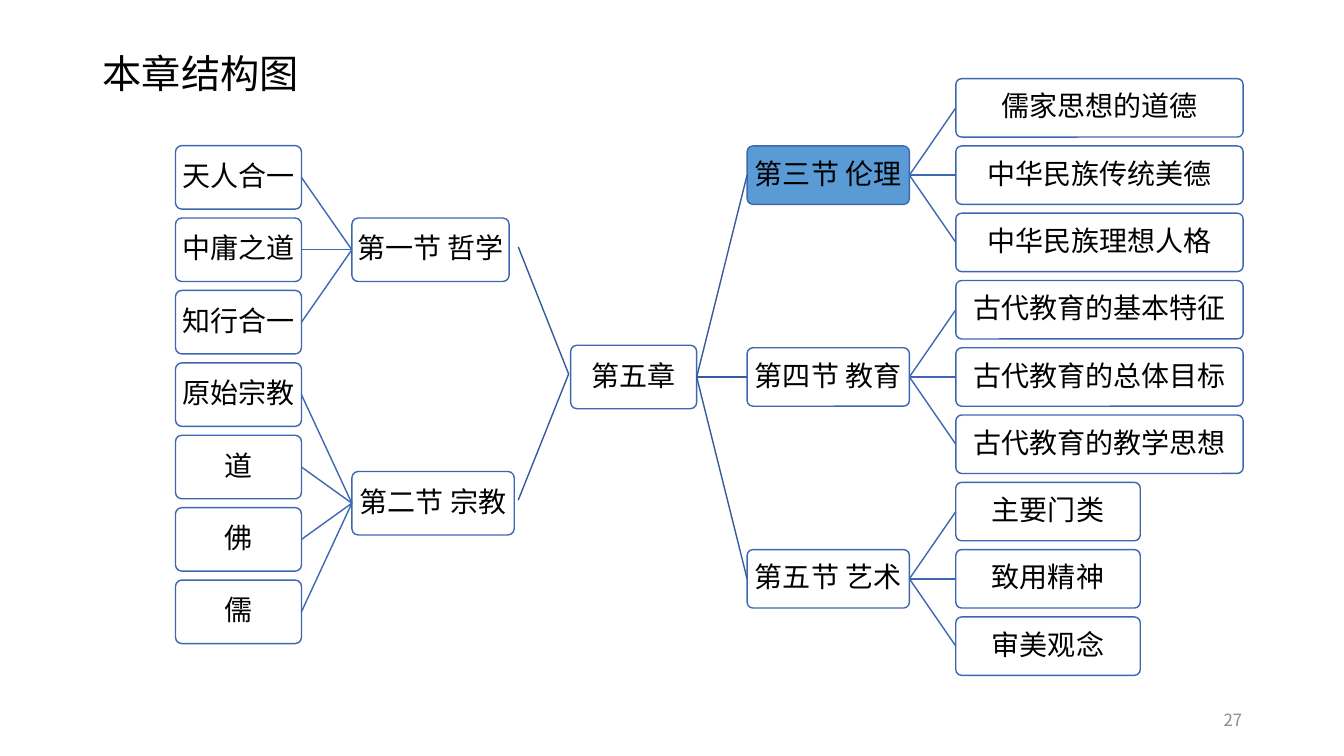
from lxml import etree
from pptx import Presentation
from pptx.dml.color import RGBColor
from pptx.enum import shapes, text
from pptx.oxml.ns import qn
from pptx.util import Inches, Pt

# Content: section, box width, highlighted, leaf width, leaves
LEFT = [
    ("第一节 哲学", 1.56, False, 1.25, ["天人合一", "中庸之道", "知行合一"]),
    ("第二节 宗教", 1.61, False, 1.25, ["原始宗教", "道", "佛", "儒"]),
]
RIGHT = [
    ("第三节 伦理", 1.61, True, 2.85,
     ["儒家思想的道德", "中华民族传统美德", "中华民族理想人格"]),
    ("第四节 教育", 1.61, False, 2.85,
     ["古代教育的基本特征", "古代教育的总体目标", "古代教育的教学思想"]),
    ("第五节 艺术", 1.61, False, 1.83, ["主要门类", "致用精神", "审美观念"]),
]
# Sides: sections, section x, leaf x, first and last row centre, box height
WEST = (LEFT, 3.49, 1.74, 1.76, 6.07, 0.63)
EAST = (RIGHT, 7.41, 9.48, 1.07, 6.41, 0.58)

FONT = "Noto Sans CJK SC"
BLACK = RGBColor(0, 0, 0)
GREY = RGBColor(0x8C, 0x8C, 0x8C)
WHITE = RGBColor(0xFF, 0xFF, 0xFF)
BLUE = RGBColor(0x5B, 0x9B, 0xD5)
EDGE = RGBColor(0x3E, 0x67, 0xB2)
TRUNK = RGBColor(0x36, 0x5B, 0x9D)

deck = Presentation()
deck.slide_width, deck.slide_height = Inches(13.33), Inches(7.5)
slide = deck.slides.add_slide(deck.slide_layouts[5])


def write(shape, words, size, align, color=BLACK):
    frame = shape.text_frame
    frame.text = words
    frame.word_wrap = True
    frame.vertical_anchor = text.MSO_ANCHOR.MIDDLE
    para = frame.paragraphs[0]
    para.alignment = align
    para.line_spacing = 0.9
    font = para.font
    font.size, font.name, font.color.rgb = Pt(size), FONT, color
    # East Asian typeface follows the Latin one
    props = para._p.pPr.find(qn("a:defRPr"))
    etree.SubElement(props, qn("a:ea")).set("typeface", FONT)


def box(words, x, mid, w, h, fill=WHITE):
    node = slide.shapes.add_shape(
        shapes.MSO_SHAPE.ROUNDED_RECTANGLE,
        Inches(x), Inches(mid - h / 2), Inches(w), Inches(h))
    node.adjustments[0] = 0.1
    node.shadow.inherit = False
    node.fill.solid()
    node.fill.fore_color.rgb = fill
    node.line.color.rgb, node.line.width = EDGE, Pt(1)
    frame = node.text_frame
    frame.margin_left = frame.margin_right = Inches(0.03)
    frame.margin_top = frame.margin_bottom = Inches(0.03)
    write(node, words, 20, text.PP_ALIGN.CENTER)
    return node


def line(color, x1=0, y1=0, x2=0, y2=0):
    link = slide.shapes.add_connector(
        shapes.MSO_CONNECTOR.STRAIGHT,
        Inches(x1), Inches(y1), Inches(x2), Inches(y2))
    link.line.color.rgb, link.line.width = color, Pt(1)
    etree.SubElement(link._element.spPr, qn("a:effectLst"))
    return link


def join(start, end, color, out, into):
    link = line(color)
    link.begin_connect(start, out)
    link.end_connect(end, into)


# Title and page number
title = slide.shapes.title
title.left, title.top = Inches(0.92), Inches(0.4)
title.width, title.height = Inches(11.5), Inches(0.71)
write(title, "本章结构图", 28, text.PP_ALIGN.LEFT)
page = slide.shapes.add_textbox(
    Inches(9.42), Inches(6.95), Inches(3), Inches(0.4))
write(page, "27", 12, text.PP_ALIGN.RIGHT, GREY)

# Chapter in the middle, sections and leaves on both sides
root = box("第五章", 5.66, 3.74, 1.25, 0.63)
for side in (WEST, EAST):
    parts, sec_x, leaf_x, first, last, h = side
    out, into = (1, 3) if side is WEST else (3, 1)
    pitch = (last - first) / (sum(len(part[4]) for part in parts) - 1)
    row = 0
    for name, w, lit, leaf_w, leaves in parts:
        mid = first + pitch * (row + (len(leaves) - 1) / 2)
        head = box(name, sec_x, mid, w, h, BLUE if lit else WHITE)
        if side is WEST:
            line(TRUNK, 5.64, 3.71, 5.14, mid - 0.03)
        else:
            join(root, head, TRUNK, out, into)
        for leaf in leaves:
            tip = box(leaf, leaf_x, first + pitch * row, leaf_w, h)
            join(head, tip, EDGE, out, into)
            row += 1

deck.save("out.pptx")
